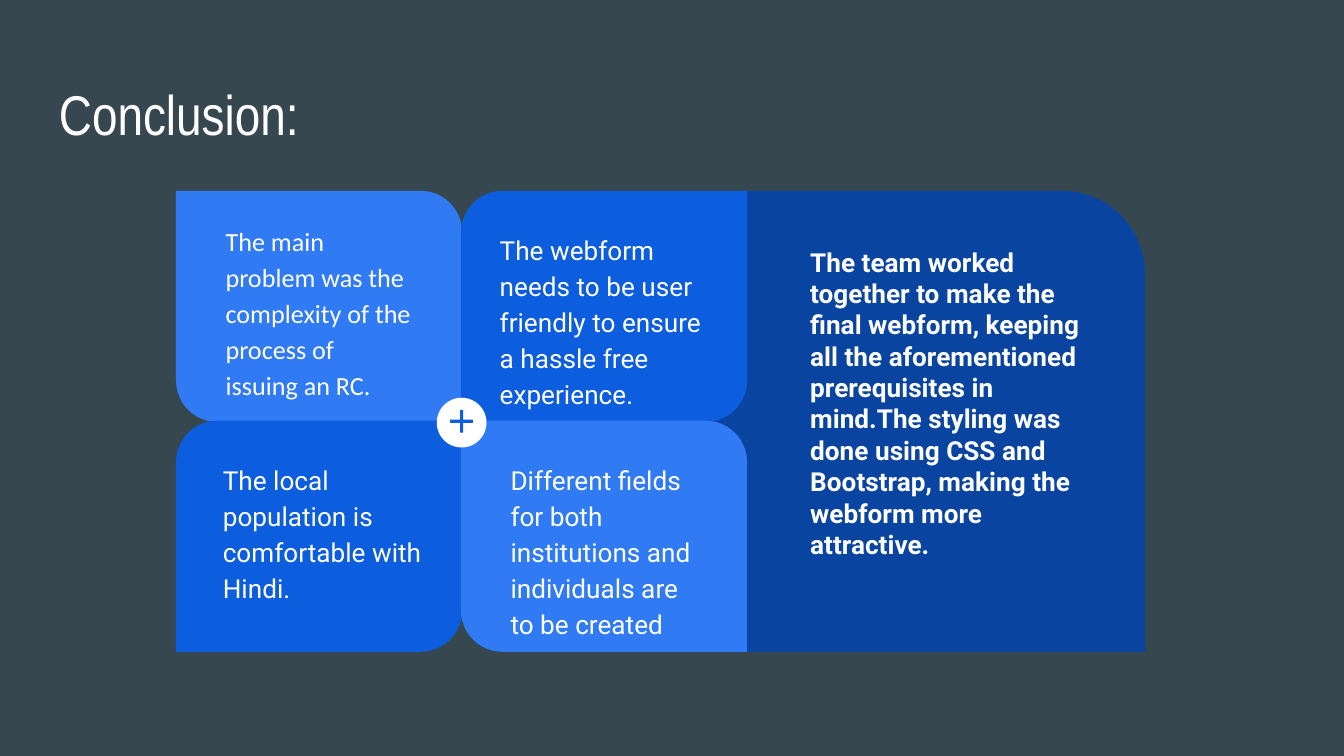
from dataclasses import dataclass

from pptx import Presentation
from pptx import util as u
from pptx.dml.color import RGBColor
from pptx.enum import shapes, text


@dataclass(frozen=True)
class Theme:
    ground: str = "37474F"
    white: str = "FFFFFF"
    light: str = "307BF3"
    blue: str = "0D5DDF"
    navy: str = "0944A1"
    title_size: int = 30
    body_size: int = 14
    title_font: str = "Arial Narrow"
    body_font: str = "Roboto"
    alt_font: str = "Calibri"


theme = Theme()
Kind = shapes.MSO_SHAPE


def add_block(kind, bounds, color, adjustments=()):
    block = page.shapes.add_shape(kind, *map(u.Inches, bounds))
    block.shadow.inherit = False
    block.fill.solid()
    block.fill.fore_color.rgb = RGBColor.from_string(color)
    block.line.fill.background()
    for index, value in enumerate(adjustments):
        block.adjustments[index] = value


def add_text(bounds, words, size=theme.body_size, font=theme.body_font, bold=False):
    box = page.shapes.add_textbox(*map(u.Inches, bounds))
    frame = box.text_frame
    frame.word_wrap = True
    frame.vertical_anchor = text.MSO_ANCHOR.TOP
    frame.margin_left = frame.margin_right = u.Inches(0.1)
    frame.margin_top = frame.margin_bottom = u.Inches(0.1)
    para = frame.paragraphs[0]
    span = para.add_run()
    span.text = words
    span.font.size = u.Pt(size)
    span.font.name = font
    span.font.bold = bold
    span.font.color.rgb = RGBColor.from_string(theme.white)
    return para


# Widescreen page, 16 to 9
deck = Presentation()
deck.slide_width = u.Inches(10)
deck.slide_height = u.Inches(10 * 9 / 16)
page = deck.slides.add_slide(deck.slide_layouts[6])
page.background.fill.solid()
page.background.fill.fore_color.rgb = RGBColor.from_string(theme.ground)

# Title
add_text((0.34, 0.49, 9.32, 0.63), "Conclusion:", theme.title_size, theme.title_font)

# Corner rounding: top left with bottom right, then top right with bottom left
falling, rising = (0.18, 0), (0, 0.18)

# Summary panel
add_block(Kind.ROUND_2_DIAG_RECTANGLE, (4.5, 1.42, 4.02, 3.43), theme.navy, rising)
add_text(
    (5.93, 1.73, 2.21, 1.07),
    "The team worked together to make the final webform, keeping all the "
    "aforementioned prerequisites in mind.The styling was done using CSS and "
    "Bootstrap, making the webform more attractive.",
    bold=True,
)

# Two by two tiles in alternating colours
left, top, tile_width, tile_height = 1.31, 1.42, 2.13, 1.72
step_x, step_y = 2.12, 1.71
tiles = [
    (0, 0, (1.58, 1.54, 1.58, 1.06), theme.alt_font,
     "The main problem was the complexity of the process of issuing an RC."),
    (0, 1, (3.62, 1.61, 1.76, 1.35), theme.body_font,
     "The webform needs to be user friendly to ensure a hassle free experience."),
    (1, 0, (1.56, 3.32, 1.7, 1.34), theme.body_font,
     "The local population is comfortable with Hindi."),
    (1, 1, (3.7, 3.32, 1.59, 1.32), theme.body_font,
     "Different fields for both institutions and individuals are to be created"),
]
for row, column, text_bounds, font, words in tiles:
    on_diagonal = row == column
    bounds = (left + column * step_x, top + row * step_y, tile_width, tile_height)
    add_block(
        Kind.ROUND_2_DIAG_RECTANGLE,
        bounds,
        theme.light if on_diagonal else theme.blue,
        rising if on_diagonal else falling,
    )
    para = add_text(text_bounds, words, font=font)
    para.line_spacing = 1.15
    para.space_after = u.Pt(16)

# Plus badge where the tiles meet
add_block(Kind.OVAL, (3.25, 2.96, 0.37, 0.37), theme.white)
add_block(Kind.MATH_PLUS, (3.32, 3.02, 0.23, 0.23), theme.blue, (0.1,))

deck.save("out.pptx")
